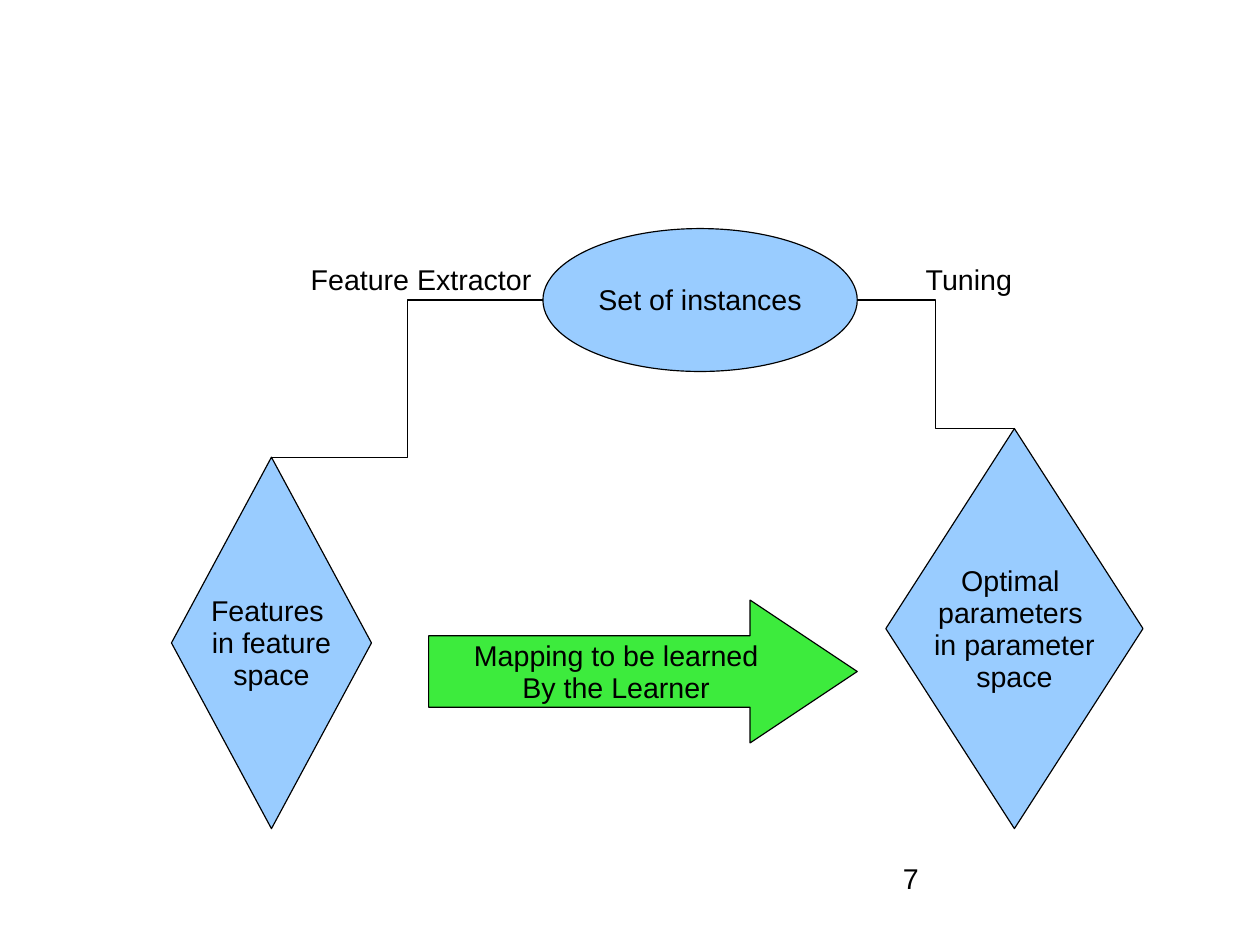
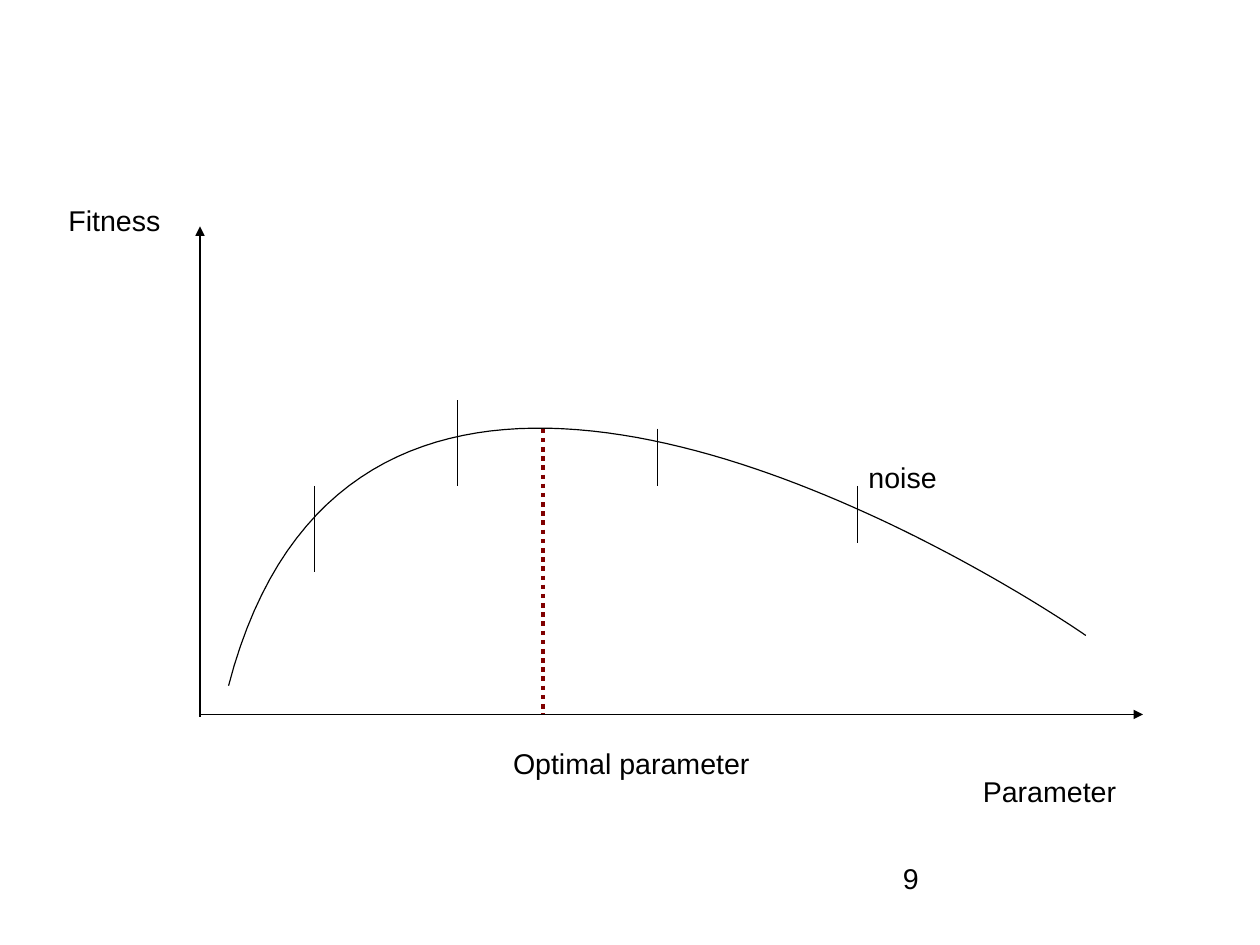
from lxml.etree import SubElement
from pptx import Presentation
from pptx.dml.color import RGBColor
from pptx.enum.dml import MSO_LINE
from pptx.enum.shapes import MSO_CONNECTOR, MSO_SHAPE
from pptx.enum.text import MSO_ANCHOR, PP_ALIGN
from pptx.oxml.ns import qn
from pptx.util import Cm, Pt

COLORS = {"ink": "000000", "node": "99CCFF", "mapping": "3DEB3D", "optimum": "800000"}
FONT = "Arial"
TEXT_SIZE = Pt(18)
LINE_SPACING = 0.93
THIN = 0.75
MODULE = 2.54
CURVE_STEPS = 80


def grid(*modules):
    return [Cm(MODULE * count) for count in modules]


def color(name):
    return RGBColor.from_string(COLORS[name])


def outline(line, ink="ink", width=THIN):
    line.color.rgb = color(ink)
    line.width = Pt(width)


def write(shape, lines, align=PP_ALIGN.LEFT, anchor=MSO_ANCHOR.TOP, insets=(0.1, 0.07, 0.1, 0.05)):
    frame = shape.text_frame
    frame.word_wrap = False
    frame.vertical_anchor = anchor
    frame.margin_left, frame.margin_top, frame.margin_right, frame.margin_bottom = grid(*insets)
    for index, words in enumerate(lines):
        paragraph = frame.paragraphs[0] if index == 0 else frame.add_paragraph()
        paragraph.alignment = align
        paragraph.line_spacing = LINE_SPACING
        run = paragraph.add_run()
        run.text = words
        run.font.name = FONT
        run.font.size = TEXT_SIZE
        run.font.color.rgb = color("ink")


def add_node(slide, kind, box, lines, fill="node"):
    node = slide.shapes.add_shape(kind, *grid(*box))
    node.shadow.inherit = False
    node.fill.solid()
    node.fill.fore_color.rgb = color(fill)
    outline(node.line)
    write(node, lines, PP_ALIGN.CENTER, MSO_ANCHOR.MIDDLE)
    return node


def add_label(slide, box, words, insets=(0.1, 0.05, 0.1, 0.05)):
    write(slide.shapes.add_textbox(*grid(*box)), [words], insets=insets)


def add_line(slide, start, end, kind=MSO_CONNECTOR.STRAIGHT, ink="ink", width=THIN, dash=None, arrow=False):
    connector = slide.shapes.add_connector(kind, *grid(*start, *end))
    outline(connector.line, ink, width)
    if dash is not None:
        connector.line.dash_style = dash
    properties = connector.element.spPr
    if arrow:
        SubElement(properties.find(qn("a:ln")), qn("a:tailEnd"), type="triangle")
    SubElement(properties, qn("a:effectLst"))


def bezier(controls, t):
    weights = ((1 - t) ** 3, 3 * t * (1 - t) ** 2, 3 * t ** 2 * (1 - t), t ** 3)
    return grid(*(sum(w * value for w, value in zip(weights, axis)) for axis in zip(*controls)))


def add_curve(slide, controls):
    points = [bezier(controls, step / CURVE_STEPS) for step in range(CURVE_STEPS + 1)]
    builder = slide.shapes.build_freeform(*points[0], scale=1.0)
    builder.add_line_segments(points[1:], close=False)
    curve = builder.convert_to_shape()
    curve.shadow.inherit = False
    curve.fill.background()
    outline(curve.line)


def add_slide(deck, number):
    slide = deck.slides.add_slide(deck.slide_layouts[6])
    add_label(slide, (7.9, 7.53, 2.55, 0.55), number, insets=(0, 0.03, 0, 0))
    return slide


def build_mapping(deck):
    slide = add_slide(deck, "7")
    add_node(slide, MSO_SHAPE.DIAMOND, (1.5, 4, 1.75, 3.25), ["Features ", "in feature", "space"])
    add_node(slide, MSO_SHAPE.DIAMOND, (7.75, 3.75, 2.25, 3.5),
             ["Optimal ", "parameters ", "in parameter", "space"])
    add_node(slide, MSO_SHAPE.OVAL, (4.75, 2, 2.75, 1.25), ["Set of instances"])
    mapping = add_node(slide, MSO_SHAPE.RIGHT_ARROW, (3.75, 5.25, 3.75, 1.25),
                       ["Mapping to be learned", "By the Learner"], "mapping")
    mapping.adjustments[0] = 0.5
    mapping.adjustments[1] = 0.75
    for left, width, words in ((2.62, 2.15, "Feature Extractor"), (8, 1.02, "Tuning")):
        add_label(slide, (left, 2.25, width, 0.38), words, insets=(0.1, 0.07, 0.1, 0.05))
    for start, end in (((4.75, 2.625), (2.375, 4)), ((7.5, 2.625), (8.875, 3.75))):
        add_line(slide, start, end, MSO_CONNECTOR.ELBOW)


def build_fitness(deck):
    slide = add_slide(deck, "9")
    for start, end in (((1.75, 6.25), (10, 6.25)), ((1.75, 6.27), (1.75, 1.98))):
        add_line(slide, start, end, arrow=True)
    add_curve(slide, ((2, 6), (3.25, 1.2), (9.5, 5.56), (9.5, 5.56)))
    add_line(slide, (4.75, 3.75), (4.75, 6.25), ink="optimum", width=2.89, dash=MSO_LINE.ROUND_DOT)
    for x, top, bottom in ((2.75, 4.25, 5), (4, 3.5, 4.25), (5.75, 3.75, 4.25), (7.5, 4.25, 4.75)):
        add_line(slide, (x, top), (x, bottom))
    for left, top, width, words in (
        (0.5, 1.75, 1.1, "Fitness"),
        (8.5, 6.75, 1.5, "Parameter"),
        (4.39, 6.5, 2.3, "Optimal parameter"),
        (7.5, 4, 1.5, "noise"),
    ):
        add_label(slide, (left, top, width, 0.38), words)


def main():
    deck = Presentation()
    deck.slide_width, deck.slide_height = Cm(28), Cm(21)
    build_mapping(deck)
    build_fitness(deck)
    deck.save("out.pptx")


if __name__ == "__main__":
    main()
